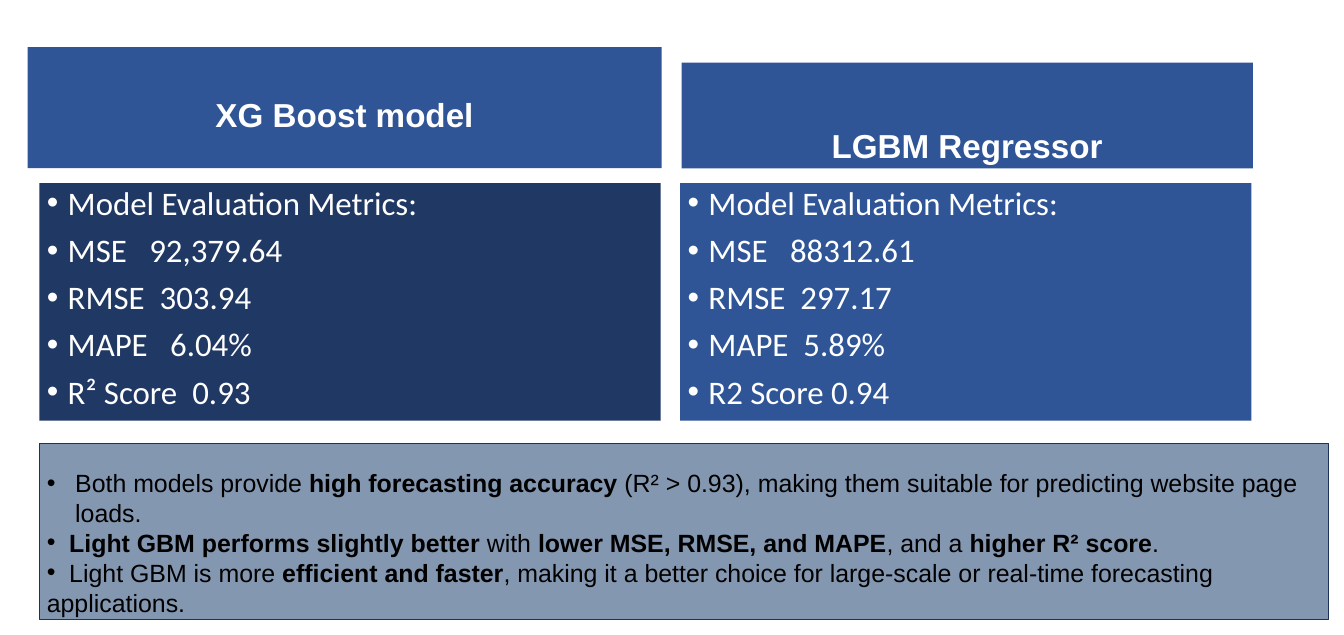
"""Build a slide comparing the evaluation metrics of two forecasting models."""
from dataclasses import dataclass

from lxml import etree
from pptx import Presentation
from pptx.dml.color import RGBColor
from pptx.enum import shapes, text
from pptx.oxml import ns
from pptx.util import Emu, Inches, Pt

WIDTH, HEIGHT = Inches(18), Inches(8.5)
WHITE, BLACK, BLUE, NAVY, SLATE, EDGE = "FFFFFF", "000000", "2F5597", "203864", "8497B0", "1E3256"
SPACE_WIDTH = 7.2
CARD_TOP, CARD_HEIGHT = 28.82, 37.41


@dataclass(frozen=True)
class Frame:
    """Position and size in percent of the slide."""
    left: float
    top: float
    width: float
    height: float


@dataclass(frozen=True)
class Metric:
    """A label, its value and the gap between them in space widths."""
    label: str
    value: str
    gap: int


@dataclass(frozen=True)
class Model:
    """One model column: heading, card and metrics."""
    name: str
    heading: Frame
    heading_inset: float
    card: Frame
    card_fill: str
    metrics: tuple[Metric, ...]


MODELS = (
    Model("XG Boost model", Frame(2.06, 7.41, 47.17, 19.06), 0.45,
          Frame(2.94, CARD_TOP, 46.22, CARD_HEIGHT), NAVY,
          (Metric("MSE", "92,379.64", 3), Metric("RMSE", "303.94", 2),
           Metric("MAPE", "6.04%", 3), Metric("R² Score", "0.93", 2))),
    Model("LGBM Regressor", Frame(50.72, 9.88, 42.5, 16.65), 0.05,
          Frame(50.61, CARD_TOP, 42.5, CARD_HEIGHT), BLUE,
          (Metric("MSE", "88312.61", 3), Metric("RMSE", "297.17", 2),
           Metric("MAPE", "5.89%", 2), Metric("R2 Score", "0.94", 1))),
)
SUMMARY_FRAME = Frame(2.94, 69.88, 95.94, 27.65)
SUMMARY = (
    (0.38, "Both models provide **high forecasting accuracy** (R² > 0.93), "
           "making them suitable for predicting website page loads."),
    (0, "\t**Light GBM performs slightly better** with **lower MSE, RMSE, and MAPE**, "
        "and a **higher R² score**."),
    (0, "\tLight GBM is more **efficient and faster**, making it a better choice "
        "for large-scale or real-time forecasting applications."),
)


def color(value: str) -> RGBColor:
    """Turn a hex string into a colour."""
    return RGBColor.from_string(value)


def add_panel(page, frame: Frame, fill: str, anchor, edge: str | None = None):
    """Draw a filled rectangle ready for text."""
    box = page.shapes.add_shape(
        shapes.MSO_SHAPE.RECTANGLE,
        Emu(round(WIDTH * frame.left / 100)), Emu(round(HEIGHT * frame.top / 100)),
        Emu(round(WIDTH * frame.width / 100)), Emu(round(HEIGHT * frame.height / 100)))
    box.shadow.inherit = False
    box.fill.solid()
    box.fill.fore_color.rgb = color(fill)
    if edge:
        box.line.color.rgb = color(edge)
        box.line.width = Pt(1)
    else:
        box.line.fill.background()
    box.text_frame.word_wrap = True
    box.text_frame.vertical_anchor = anchor
    return box


def next_para(box, index: int):
    """Return the first paragraph, or a new one after it."""
    return box.text_frame.add_paragraph() if index else box.text_frame.paragraphs[0]


def set_font(para, name: str, size: float, shade: str) -> None:
    """Set the font shared by all runs of a paragraph."""
    para.font.name, para.font.size = name, Pt(size)
    para.font.color.rgb = color(shade)


def add_bullet(para, indent: float, tab: float | None = None) -> None:
    """Give a paragraph a bullet with a hanging indent and an optional tab stop."""
    properties = para._p.get_or_add_pPr()
    properties.set("marL", str(Inches(indent)))
    properties.set("indent", str(-Inches(indent)))
    etree.SubElement(properties, ns.qn("a:buFont"), typeface="Arial")
    etree.SubElement(properties, ns.qn("a:buChar"), char="•")
    if tab:
        stops = etree.SubElement(properties, ns.qn("a:tabLst"))
        etree.SubElement(stops, ns.qn("a:tab"), pos=str(Inches(tab)), algn="l")


def add_span(para, words: str):
    """Append a run of text."""
    span = para.add_run()
    span.text = words
    return span


def add_model(page, model: Model) -> None:
    """Draw a model's heading and its metrics card."""
    heading = add_panel(page, model.heading, BLUE, text.MSO_ANCHOR.BOTTOM)
    heading.text_frame.margin_bottom = Inches(model.heading_inset)
    para = next_para(heading, 0)
    para.alignment = text.PP_ALIGN.CENTER
    add_span(para, model.name)
    set_font(para, "Arial", 32, WHITE)
    para.font.bold = True

    card = add_panel(page, model.card, model.card_fill, text.MSO_ANCHOR.TOP)
    for index, metric in enumerate((None, *model.metrics)):
        para = next_para(card, index)
        para.alignment = text.PP_ALIGN.LEFT
        para.line_spacing = 0.9
        if index:
            para.space_before = Pt(11.3)
        add_bullet(para, 0.28)
        set_font(para, "Calibri", 31.7, WHITE)
        if metric is None:
            add_span(para, "Model Evaluation Metrics:")
            continue
        add_span(para, metric.label)
        gap = add_span(para, " ")
        extra = round((metric.gap - 1) * SPACE_WIDTH * 100)
        gap._r.get_or_add_rPr().set("spc", str(extra))
        add_span(para, metric.value)


def add_summary(page) -> None:
    """Draw the conclusions, with text between double stars in bold."""
    box = add_panel(page, SUMMARY_FRAME, SLATE, text.MSO_ANCHOR.MIDDLE, EDGE)
    box.text_frame.margin_top = Inches(0.34)
    for index, (indent, words) in enumerate(SUMMARY):
        para = next_para(box, index)
        para.alignment = text.PP_ALIGN.LEFT
        add_bullet(para, indent, None if indent else 0.3)
        set_font(para, "Arial", 24, BLACK)
        for order, part in enumerate(words.split("**")):
            if part:
                add_span(para, part).font.bold = order % 2 == 1


def main() -> None:
    """Build and save the deck."""
    deck = Presentation()
    deck.slide_width, deck.slide_height = WIDTH, HEIGHT
    page = deck.slides.add_slide(deck.slide_layouts[6])
    for model in MODELS:
        add_model(page, model)
    add_summary(page)
    deck.save("out.pptx")


if __name__ == "__main__":
    main()
